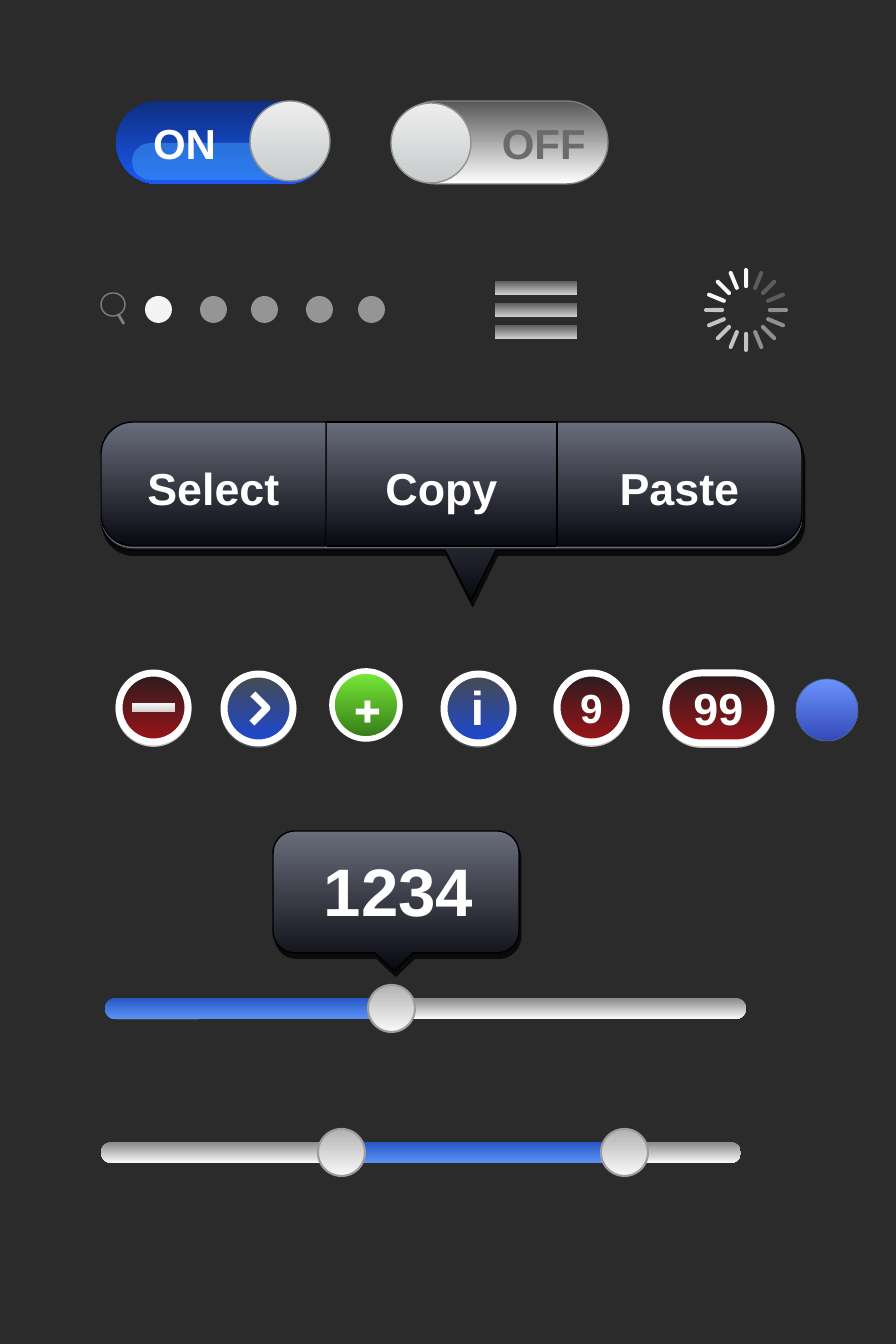
"""Build a dark sheet of phone interface controls."""
from math import cos, radians, sin

from lxml import etree
from pptx import Presentation
from pptx.dml.color import RGBColor
from pptx.enum.shapes import MSO_CONNECTOR, MSO_SHAPE
from pptx.enum.text import MSO_ANCHOR, PP_ALIGN
from pptx.oxml.ns import qn
from pptx.util import Pt

UNIT = 9072
OVAL, RECT, ROUND = MSO_SHAPE.OVAL, MSO_SHAPE.RECTANGLE, MSO_SHAPE.ROUNDED_RECTANGLE
STRAIGHT = MSO_CONNECTOR.STRAIGHT
CENTER, RIGHT, MIDDLE = PP_ALIGN.CENTER, PP_ALIGN.RIGHT, MSO_ANCHOR.MIDDLE

BACK = RGBColor(0x2B, 0x2B, 0x2B)
BLACK = RGBColor(0, 0, 0)
WHITE = RGBColor(0xFF, 0xFF, 0xFF)
SNOW = RGBColor(0xF9, 0xF9, 0xF9)
DOT = RGBColor(0xF4, 0xF4, 0xF4)
SILVER = RGBColor(0xCE, 0xCE, 0xCE)
GRAY = RGBColor(0x7F, 0x7F, 0x7F)
SHADE = RGBColor(0x80, 0x80, 0x80)
RIM = RGBColor(0x92, 0x92, 0x92)
EDGE = RGBColor(0x9D, 0x9D, 0x9D)
MUTED = RGBColor(0x6B, 0x6B, 0x6B)
NAVY = RGBColor(0x4D, 0x61, 0x8D)
AZURE = RGBColor(0x3B, 0x97, 0xF4)
STEEL = (RGBColor(0x5C, 0x5C, 0x5C), SILVER)
INK = (RGBColor(0x69, 0x6C, 0x7A), RGBColor(0x08, 0x09, 0x11))
ROYAL = (RGBColor(0x0E, 0x2E, 0x81), RGBColor(0x1B, 0x59, 0xF2))
FOG = (RGBColor(0x58, 0x58, 0x58), WHITE)
PEARL = (RGBColor(0xEE, 0xEE, 0xEE), RGBColor(0xC7, 0xCB, 0xCB))
TRACK = (RGBColor(0x88, 0x88, 0x88), SNOW)
RANGE = (RGBColor(0x28, 0x57, 0xC3), RGBColor(0x59, 0x92, 0xF4))
THUMB = (RGBColor(0xB2, 0xB2, 0xB2), SNOW)
RED = (RGBColor(0x2A, 0x1C, 0x1E), RGBColor(0x9C, 0x14, 0x18))
BLUE = (RGBColor(0x48, 0x4A, 0x4C), RGBColor(0x1B, 0x48, 0xD6))
GREEN = (RGBColor(0x77, 0xEC, 0x36), RGBColor(0x36, 0x78, 0x19))
SKY = (RGBColor(0x6A, 0x93, 0xFC), RGBColor(0x34, 0x4A, 0xB8))

DROP = (BLACK, 75, 4, 72)
SHINE = (WHITE, 30, 1, 90)
GLOW = (WHITE, 70, 1, 90)
SOFT = (SHADE, 50, 1, 90)


def scale(*sizes):
    """Turn px lengths into EMU."""
    return [round(size * UNIT) for size in sizes]


def fade(color, alpha):
    """Give a colour element an opacity in percent."""
    etree.SubElement(color, qn("a:alpha"), val=str(alpha * 1000))


def cast(shape, color, alpha, dist, angle):
    """Add a sharp outer shadow."""
    effects = shape.element.spPr.find(qn("a:effectLst"))
    outer = etree.SubElement(effects, qn("a:outerShdw"), blurRad="0", dist=str(Pt(dist)),
                             dir=str(angle * 60000), algn="ctr", rotWithShape="0")
    fade(etree.SubElement(outer, qn("a:srgbClr"), val=str(color)), alpha)


def paint(shape, fill=None, line=None, width=1, shadow=None, alpha=100):
    """Set fill, line and shadow; a pair of colours is a downward gradient."""
    shape.shadow.inherit = False
    if fill is None:
        shape.fill.background()
    elif isinstance(fill, RGBColor):
        shape.fill.solid()
        shape.fill.fore_color.rgb = fill
        if alpha < 100:
            fade(shape.element.spPr.find(".//" + qn("a:srgbClr")), alpha)
    else:
        shape.fill.gradient()
        shape.fill.gradient_angle = 270
        for stop, color in zip(shape.fill.gradient_stops, fill):
            stop.color.rgb = color
    if line is None:
        shape.line.fill.background()
    else:
        shape.line.color.rgb = line
        shape.line.width = Pt(width)
    if shadow:
        cast(shape, *shadow)
    return shape


def block(tree, kind, box, fill=None, **look):
    """Add a preset shape; rounded ones get full ends."""
    shape = tree.add_shape(kind, *scale(*box))
    if kind == ROUND:
        shape.adjustments[0] = 0.5
    return paint(shape, fill, **look)


def trace(tree, points, close=True):
    """Add an outline through points."""
    first, *rest = [scale(*point) for point in points]
    maker = tree.build_freeform(*first)
    maker.add_line_segments(rest, close=close)
    return maker.convert_to_shape()


def panel(tree, box, left, right, tail=(), shadow=SHINE):
    """Add a dark panel with corner radii per side and an optional tail."""
    x, y, w, h = box
    ends = [(x + left, y + left, left, 180), (x + w - right, y + right, right, 270),
            (x + w - right, y + h - right, right, 0), (x + left, y + h - left, left, 90)]
    points = []
    for cx, cy, r, start in ends:
        if start == 90:
            points += tail
        for turn in range(0, 91, 10) if r else (0,):
            angle = radians(start + turn)
            points.append((cx + r * cos(angle), cy + r * sin(angle)))
    return paint(trace(tree, points), INK, BLACK, shadow=shadow)


def write(shape, text, size, color=WHITE, align=CENTER, pad=(3, 3, 3, 3), font="Arial", wrap=True):
    """Put one bold run into a shape."""
    frame = shape.text_frame
    frame.word_wrap = wrap
    frame.vertical_anchor = MIDDLE
    frame.margin_left, frame.margin_top, frame.margin_right, frame.margin_bottom = scale(*pad)
    para = frame.paragraphs[0]
    para.alignment = align
    run = para.add_run()
    run.text = text
    run.font.name, run.font.size, run.font.bold = font, Pt(size), True
    run.font.color.rgb = color


def label(tree, box, text, size, **look):
    """Add a text box."""
    write(tree.add_textbox(*scale(*box)), text, size, pad=(6, 6, 6, 6), **look)


def slider(tree, x, y, start, thumbs):
    """Add a track with a coloured range and its thumbs."""
    block(tree, ROUND, (x, y, 640, 21), TRACK)
    block(tree, ROUND, (start, y, 299, 21), RANGE)
    for thumb in thumbs:
        block(tree, OVAL, (thumb, y - 13, 47, 47), THUMB, line=EDGE, width=1.5)


def spinner(tree, cx, cy):
    """Add sixteen spokes around a centre."""
    for turn, alpha in enumerate([49] * 4 + [74] * 5 + [100] * 4 + [24] * 3):
        angle = turn * 22.5
        x, y = cx + 32 * cos(radians(angle)), cy + 32 * sin(radians(angle))
        spoke = block(tree, ROUND, (x - 10, y - 2, 20, 4), SNOW, alpha=alpha)
        spoke.rotation = angle


def lens(tree):
    """Add the search sign."""
    block(tree, ROUND, (101, 293, 24, 23), line=GRAY)
    grip = tree.add_connector(STRAIGHT, *scale(118, 314, 124, 324))
    grip.line.color.rgb = GRAY
    grip.line.width = Pt(2)
    etree.SubElement(grip.element.spPr, qn("a:effectLst"))


def toggles(tree):
    """Add the on and off switches."""
    block(tree, ROUND, (116, 101, 213, 83), ROYAL)
    block(tree, ROUND, (132, 143, 185, 37), AZURE, alpha=57)
    block(tree, OVAL, (250, 101, 80, 80), PEARL, line=RIM)
    label(tree, (140, 107, 89, 72), "ON", 30)
    off = block(tree, ROUND, (395, 101, 213, 83), FOG, line=GRAY)
    write(off, "OFF", 30, MUTED, RIGHT, (10, 10, 10, 10))
    block(tree, OVAL, (391, 103, 80, 80), PEARL, line=RIM)


def menu(tree):
    """Add the edit menu with its tail."""
    panel(tree, (101, 425, 702, 125), 31, 31, [(496, 550), (471, 601), (445, 550)], DROP)
    paste = panel(tree, (557, 422, 245, 124), 0, 32)
    copy = block(tree, RECT, (326, 422, 231, 124), INK, line=BLACK, shadow=SHINE)
    pick = panel(tree, (101, 422, 225, 124), 32, 0)
    for part, text in ((paste, "Paste"), (copy, "Copy"), (pick, "Select")):
        write(part, text, 32, pad=(0, 7, 0, 0))


def badges(tree):
    """Add the row of round badges."""
    ring = {"line": WHITE, "width": 5}
    block(tree, OVAL, (119, 673, 69, 69), RED, shadow=GLOW, **ring)
    block(tree, RECT, (132, 703, 43, 9), (SNOW, SILVER))
    block(tree, OVAL, (224, 674, 69, 69), BLUE, shadow=SOFT, **ring)
    paint(trace(tree, [(252, 723), (267, 708), (253, 694)], False), **ring)
    block(tree, OVAL, (332, 671, 68, 68), GREEN, line=WHITE, width=4)
    label(tree, (333, 653, 69, 102), "+", 45, font="Cabin")
    block(tree, OVAL, (444, 674, 69, 69), BLUE, shadow=SOFT, **ring)
    label(tree, (465, 672, 24, 69), "i", 34, wrap=False)
    write(block(tree, OVAL, (557, 673, 69, 69), RED, shadow=GLOW, **ring), "9", 29)
    write(block(tree, ROUND, (666, 673, 105, 70), RED, shadow=GLOW, **ring), "99", 32)
    block(tree, OVAL, (796, 679, 62, 62), SKY, line=NAVY, width=0.5)


def main():
    """Build and save the slide."""
    deck = Presentation()
    deck.slide_width, deck.slide_height = scale(896, 1344)
    slide = deck.slides.add_slide(deck.slide_layouts[6])
    slide.background.fill.solid()
    slide.background.fill.fore_color.rgb = BACK
    tree = slide.shapes
    for x, alpha in ((145, 100), (200, 53), (251, 53), (306, 53), (358, 53)):
        block(tree, OVAL, (x, 296, 27, 27), DOT, alpha=alpha)
    lens(tree)
    for row in range(3):
        block(tree, RECT, (495, 281 + 22 * row, 82, 14), STEEL)
    spinner(tree, 746, 310)
    menu(tree)
    toggles(tree)
    badges(tree)
    slider(tree, 106, 998, 105, [368])
    slider(tree, 101, 1142, 338, [601, 318])
    panel(tree, (273, 831, 246, 122), 22, 22, [(413, 953), (394, 971), (375, 953)], DROP)
    label(tree, (314, 844, 169, 91), "1234", 48, wrap=False)
    deck.save("out.pptx")


if __name__ == "__main__":
    main()
